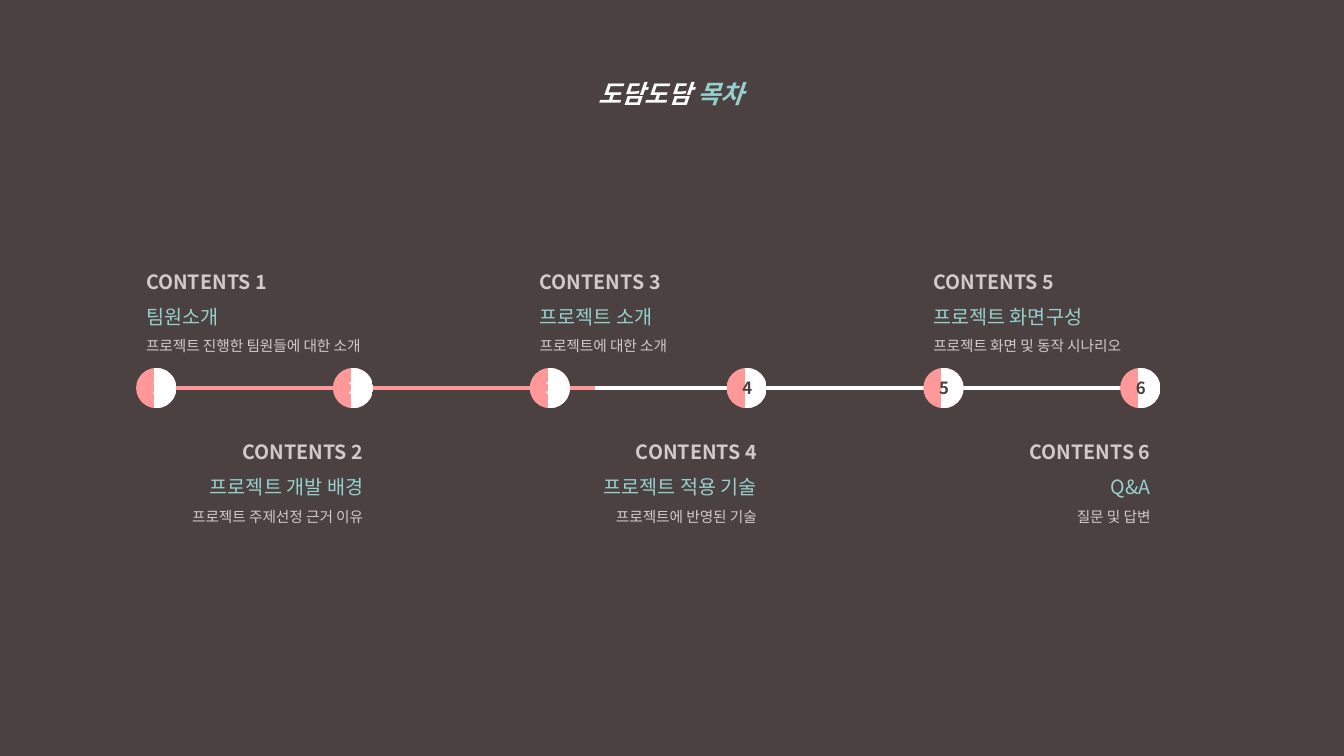
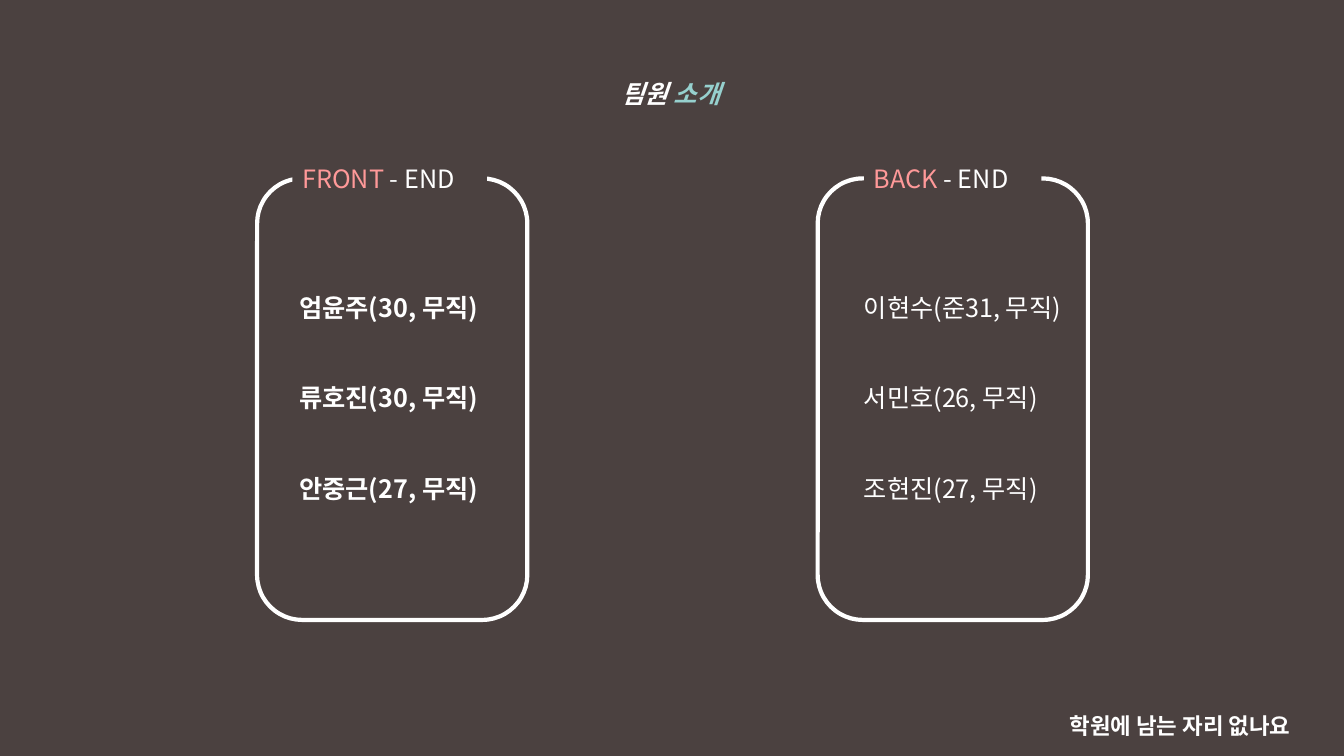
from lxml.etree import SubElement
from pptx import Presentation
from pptx.dml.color import RGBColor
from pptx.enum.shapes import MSO_SHAPE as Shape
from pptx.enum.text import MSO_ANCHOR as Anchor, PP_ALIGN as Align
from pptx.oxml.ns import qn
from pptx.util import Inches, Pt

FONT = "Noto Sans CJK KR"
BROWN = RGBColor(0x4B, 0x41, 0x40)
WHITE = RGBColor(0xFF, 0xFF, 0xFF)
MINT = RGBColor(0x96, 0xD0, 0xCE)
PINK = RGBColor(0xFF, 0x99, 0x99)
GREY = RGBColor(0xD1, 0xCA, 0xC9)

TOPICS = [
    ("팀원소개", "프로젝트 진행한 팀원들에 대한 소개"),
    ("프로젝트 개발 배경", "프로젝트 주제선정 근거 이유"),
    ("프로젝트 소개", "프로젝트에 대한 소개"),
    ("프로젝트 적용 기술", "프로젝트에 반영된 기술"),
    ("프로젝트 화면구성", "프로젝트 화면 및 동작 시나리오"),
    ("Q&A", "질문 및 답변"),
]
FRONT = ["엄윤주(30, 무직)", "류호진(30, 무직)", "안중근(27, 무직)"]
BACK = ["이현수(준31, 무직)", "서민호(26, 무직)", "조현진(27, 무직)"]


def add_run(para, text, size, color, bold=False, italic=False):
    run = para.add_run()
    run.text = text
    font = run.font
    font.size, font.bold, font.italic = Pt(size), bold, italic
    font.color.rgb = color
    font.name = FONT
    SubElement(font._element, qn("a:ea"), typeface=FONT)


def add_text(slide, box, lines, align=Align.LEFT, pitch=1.0, gap=0):
    frame = slide.shapes.add_textbox(*map(Inches, box)).text_frame
    frame.word_wrap = True
    for i, runs in enumerate(lines):
        para = frame.add_paragraph() if i else frame.paragraphs[0]
        para.alignment = align
        para.line_spacing = pitch
        if i:
            para.space_before = Pt(gap)
        for run in runs:
            add_run(para, *run)


def add_form(slide, kind, box):
    form = slide.shapes.add_shape(kind, *map(Inches, box))
    form.shadow.inherit = False
    form.line.fill.background()
    return form


def fill_split(form):
    fill = form.fill
    fill.gradient()
    fill.gradient_angle = 0
    for stop, color in zip(fill.gradient_stops, (PINK, WHITE)):
        stop.position = 0.45
        stop.color.rgb = color


def add_base(deck, head, tail):
    slide = deck.slides.add_slide(deck.slide_layouts[6])
    back = slide.background.fill
    back.solid()
    back.fore_color.rgb = BROWN
    title = [(head, 18, WHITE, True, True), (tail, 18, MINT, True, True)]
    add_text(slide, (3.64, 0.58, 6.03, 0.52), [title], Align.CENTER, 1.5)
    return slide


def add_track(slide, left, top, width):
    dot, wide, high = 0.4, 3.38, 1.07
    step = (width - dot) / (len(TOPICS) - 1)
    fill_split(add_form(slide, Shape.RECTANGLE,
                        (left + 0.12, top + 0.18, width - 0.32, 0.04)))
    for i, (name, note) in enumerate(TOPICS):
        x = left + i * step
        disc = add_form(slide, Shape.OVAL, (x, top, dot, dot))
        fill_split(disc)
        frame = disc.text_frame
        frame.vertical_anchor = Anchor.MIDDLE
        para = frame.paragraphs[0]
        para.alignment = Align.CENTER
        add_run(para, str(i + 1), 12, WHITE if i < 3 else BROWN, True)
        lines = [
            [(f"CONTENTS {i + 1}", 14, GREY, True)],
            [(name, 14, MINT)],
            [(note, 10.5, GREY)],
        ]
        if i % 2:
            box, align = (x + dot - wide, top + 0.55, wide, high), Align.RIGHT
        else:
            box, align = (x, top - 1.14, wide, high), Align.LEFT
        add_text(slide, box, lines, align, 1.5)


def add_team(slide, box, head, tab, names, inset, bold):
    left, top, width, height = box
    card = add_form(slide, Shape.ROUNDED_RECTANGLE, box)
    card.fill.background()
    card.line.color.rgb = WHITE
    card.line.width = Pt(3)
    shift, wide = tab
    label = add_form(slide, Shape.RECTANGLE,
                     (left + shift, top - 0.2, wide, 0.4))
    label.fill.solid()
    label.fill.fore_color.rgb = BROWN
    frame = label.text_frame
    frame.word_wrap = False
    frame.vertical_anchor = Anchor.TOP
    para = frame.paragraphs[0]
    para.alignment = Align.LEFT
    add_run(para, head, 18, PINK)
    add_run(para, " - END", 18, WHITE)
    start, span = inset
    add_text(slide, (left + start, top + 1.08, span, 2.22),
             [[(name, 18, WHITE, bold)] for name in names], gap=43)


def main():
    deck = Presentation()
    deck.slide_width, deck.slide_height = Inches(13.33), Inches(7.5)

    slide = add_base(deck, "도담도담 ", "목차")
    add_track(slide, 1.35, 3.65, 10.16)

    slide = add_base(deck, "팀원 ", "소개")
    add_team(slide, (2.55, 1.77, 2.68, 4.38), "FRONT", (0.35, 1.93),
             FRONT, (0.32, 2.04), True)
    add_team(slide, (8.11, 1.77, 2.68, 4.38), "BACK", (0.46, 1.76),
             BACK, (0.36, 2.22), False)
    add_text(slide, (10.51, 7.02, 2.55, 0.37),
             [[("학원에 남는 자리 없나요", 16, WHITE, True)]])

    deck.save("out.pptx")


if __name__ == "__main__":
    main()
